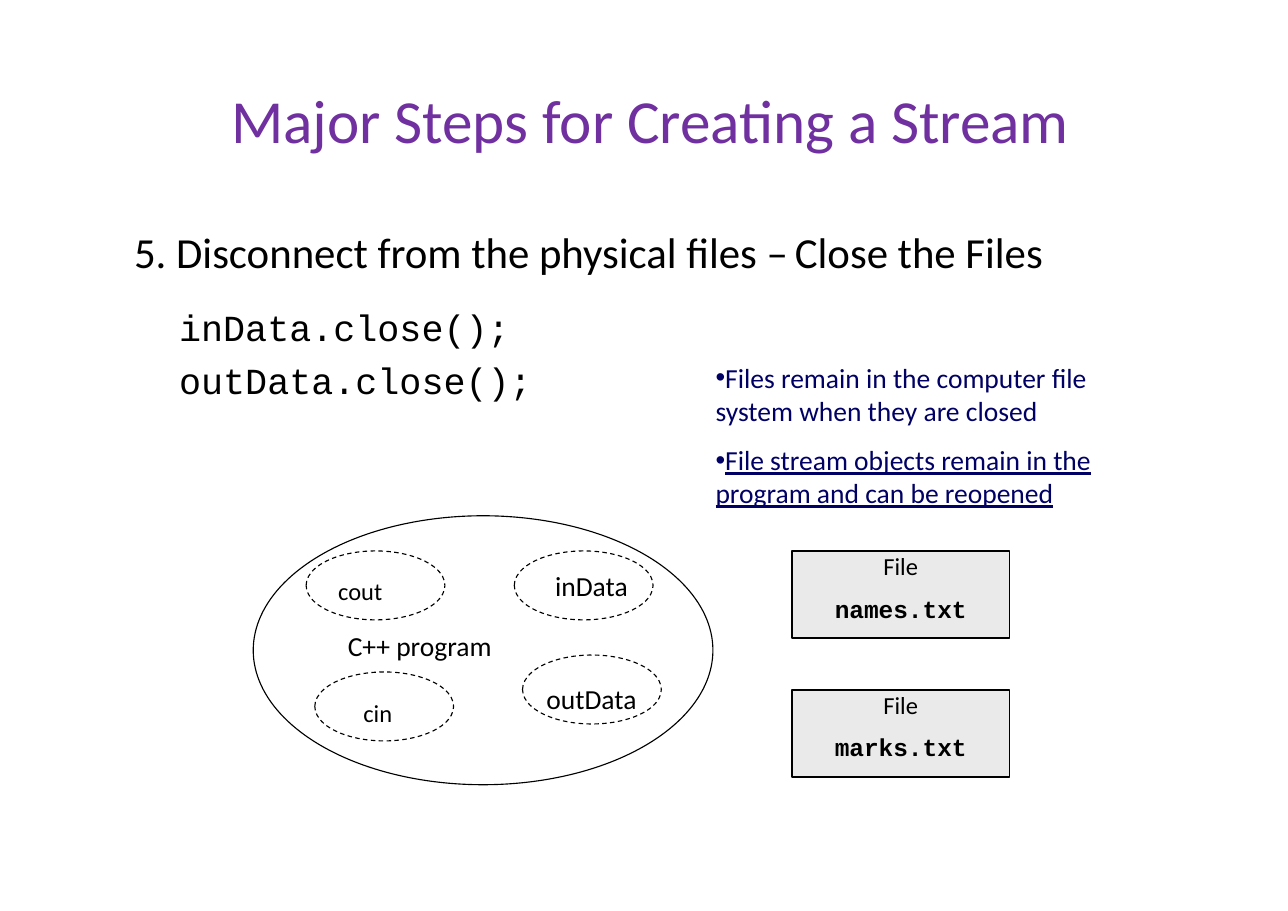
from lxml import etree
from pptx import Presentation
from pptx import util as u
from pptx.dml import color
from pptx.enum import dml, shapes, text
from pptx.oxml import ns

BLACK, PURPLE, NAVY, GREY = "000000", "7030A0", "000065", "EAEAEA"
SANS, MONO = "Calibri", "Courier New"


def rgb(code):
    return color.RGBColor.from_string(code)


class Page:
    """The current slide and its style."""

    def __init__(self, slide):
        self.slide = slide

    def place(self, item, left, top, width, height):
        item.left, item.top = u.Cm(left), u.Cm(top)
        item.width, item.height = u.Cm(width), u.Cm(height)

    def frame(self, item, words, wrap=True):
        """Fill a shape with text that starts at its top left corner."""
        box = item.text_frame
        box.text = words
        box.word_wrap = wrap
        box.auto_size = text.MSO_AUTO_SIZE.NONE
        box.vertical_anchor = text.MSO_ANCHOR.TOP
        box.margin_left = box.margin_right = 0
        box.margin_top = box.margin_bottom = 0
        return box.paragraphs

    def style(self, para, size, font=SANS, ink=BLACK, before=0,
              align=text.PP_ALIGN.LEFT, bold=False, line=False):
        para.alignment = align
        para.space_before = u.Pt(before)
        for run in para.runs:
            face = run.font
            face.name, face.size = font, u.Pt(size)
            face.bold, face.underline = bold, line
            face.color.rgb = rgb(ink)

    def bullet(self, para, mark=None, indent=0, tab=None):
        """Set the bullet, left indent (cm) and tab stop (cm)."""
        props = para._p.get_or_add_pPr()
        props.set("marL", str(u.Cm(indent)))
        props.set("indent", "0")
        if mark:
            etree.SubElement(props, ns.qn("a:buChar")).set("char", mark)
        else:
            etree.SubElement(props, ns.qn("a:buNone"))
        if tab:
            stops = etree.SubElement(props, ns.qn("a:tabLst"))
            stop = etree.SubElement(stops, ns.qn("a:tab"))
            stop.set("pos", str(u.Cm(tab)))
            stop.set("algn", "l")

    def title(self, words, *area):
        item = self.slide.shapes.title
        self.place(item, *area)
        self.style(self.frame(item, words)[0], 40, ink=PURPLE)

    def steps(self, head, code, *area):
        item = self.slide.placeholders[1]
        self.place(item, *area)
        paras = self.frame(item, "\n".join([head, *code]))
        self.bullet(paras[0], tab=15.67)
        self.style(paras[0], 28)
        for para, gap in zip(paras[1:], (17.6, 6)):
            self.bullet(para, indent=1.04)
            self.style(para, 24, MONO, before=gap)

    def notes(self, lines, *area):
        item = self.slide.placeholders[2]
        self.place(item, *area)
        paras = self.frame(item, "\n".join(lines))
        for i, para in enumerate(paras):
            self.bullet(para, "•")
            self.style(para, 18, ink=NAVY, before=10.9 * i, line=i > 0)

    def shape(self, kind, area, width, fill=None, dash=False):
        item = self.slide.shapes.add_shape(kind, *map(u.Cm, area))
        item.shadow.inherit = False
        if fill:
            item.fill.solid()
            item.fill.fore_color.rgb = rgb(fill)
        else:
            item.fill.background()
        item.line.color.rgb = rgb(BLACK)
        item.line.width = u.Pt(width)
        if dash:
            item.line.dash_style = dml.MSO_LINE.DASH
        return item

    def oval(self, *area, dash=False):
        self.shape(shapes.MSO_SHAPE.OVAL, area, 0.75, dash=dash)

    def label(self, words, size, *area):
        item = self.slide.shapes.add_textbox(*map(u.Cm, area))
        self.style(self.frame(item, words, wrap=False)[0], size)

    def file(self, name, *area):
        item = self.shape(shapes.MSO_SHAPE.RECTANGLE, area, 1.25, GREY)
        head, body = self.frame(item, f"File\n{name}")
        mid = text.PP_ALIGN.CENTER
        self.style(head, 16, align=mid)
        self.style(body, 16, MONO, before=8.8, align=mid, bold=True)


def main():
    deck = Presentation()
    deck.slide_width, deck.slide_height = u.Cm(29.7), u.Cm(21)
    page = Page(deck.slides.add_slide(deck.slide_layouts[3]))

    # Heading and text
    page.title("Major Steps for Creating a Stream", 5.33, 1.9, 20, 1.8)
    page.steps("5. Disconnect from the physical files –\tClose the Files",
               ["inData.close();", "outData.close();"], 3.09, 5.21, 22, 4)
    page.notes(["Files remain in the computer file system when they are closed",
                "File stream objects remain in the program and can be reopened"],
               16.5, 8.31, 9.02, 3.5)

    # Program with its streams: oval corner, then label corner
    page.oval(5.84, 11.89, 10.6, 6.2)
    page.label("C++ program", 18, 8.02, 14.5, 3.4, 0.71)
    streams = [("cout", 16, 7.06, 12.7, 7.8, 13.28),
               ("inData", 18, 11.86, 12.7, 12.8, 13.11),
               ("cin", 16, 7.26, 15.49, 8.38, 16.1),
               ("outData", 18, 12.05, 15.1, 12.6, 15.72)]
    for name, size, left, top, x, y in streams:
        page.oval(left, top, 3.2, 1.59, dash=True)
        page.label(name, size, x, y, 2.2, 0.7)

    # Files on disk
    for i, name in enumerate(["names.txt", "marks.txt"]):
        page.file(name, 18.26, 12.7 + 3.2 * i, 5.02, 2.01)

    deck.save("out.pptx")


if __name__ == "__main__":
    main()
